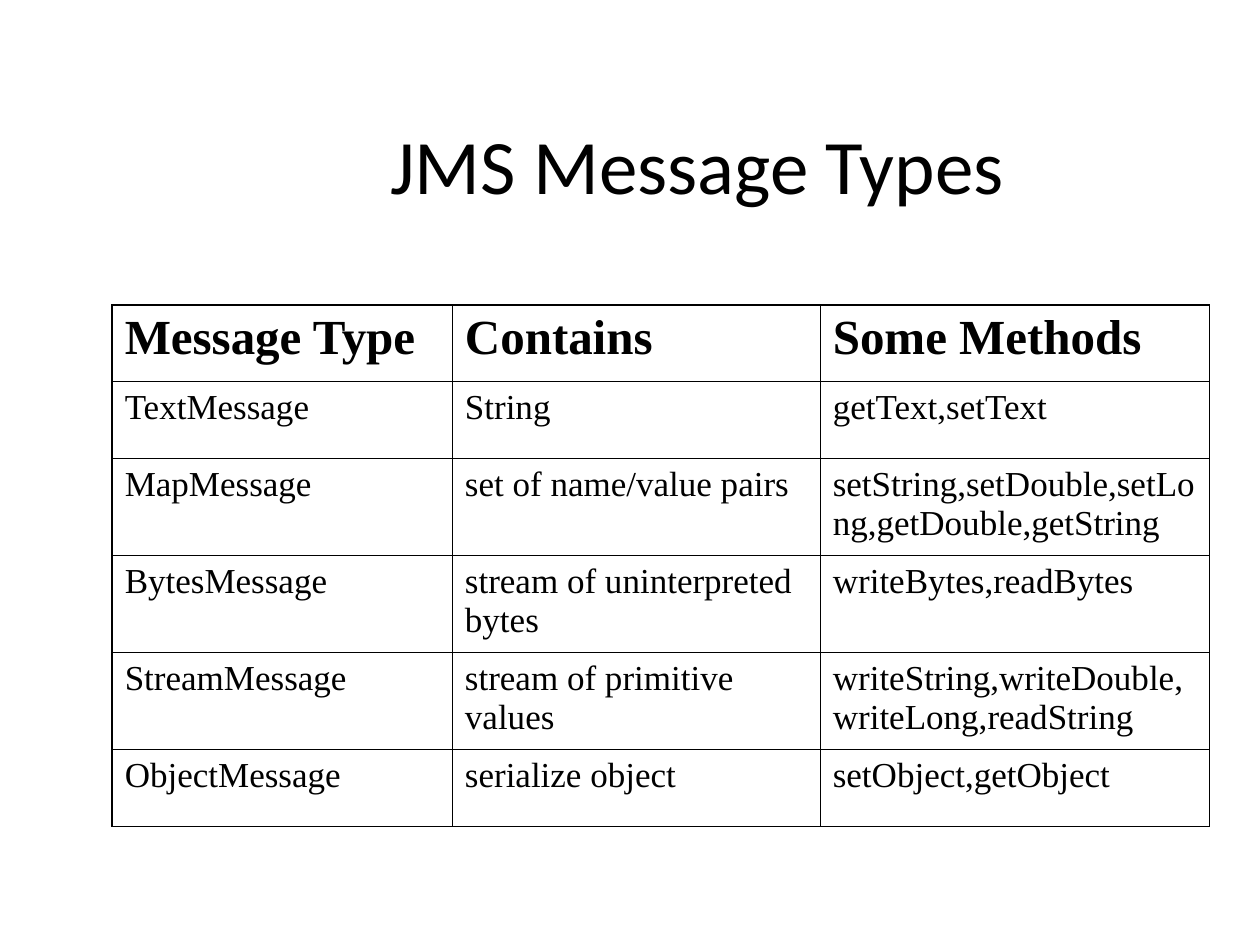
from lxml import etree
from pptx import Presentation
from pptx import util as u
from pptx.dml.color import RGBColor
from pptx.enum import text
from pptx.oxml import ns

COLORS = {"ink": "000000", "page": "FFFFFF"}
TITLE = {"name": "Calibri", "size": u.Pt(44), "bold": False}
HEAD = {"name": "Times New Roman", "size": u.Pt(28), "bold": True}
BODY = {"name": "Times New Roman", "size": u.Pt(20), "bold": False}
THIN, THICK = 0.45, 1.08
WIDTHS = (2.7, 2.92, 3.09)
HEIGHTS = (0.61, 0.61, 0.77, 0.77, 0.77, 0.61)
ROWS = (
    ("Message Type", "Contains", "Some Methods"),
    ("TextMessage", "String", "getText,setText"),
    ("MapMessage", "set of name/value pairs",
     "setString,setDouble,setLong,getDouble,getString"),
    ("BytesMessage", "stream of uninterpreted bytes", "writeBytes,readBytes"),
    ("StreamMessage", "stream of primitive values",
     "writeString,writeDouble,writeLong,readString"),
    ("ObjectMessage", "serialize object", "setObject,getObject"),
)


def write(frame, words, style):
    """Put one styled paragraph in a text frame."""
    para = frame.paragraphs[0]
    run = para.add_run()
    run.text = words
    for key, value in style.items():
        setattr(run.font, key, value)
    run.font.color.rgb = RGBColor.from_string(COLORS["ink"])
    return para


def border(cell, side, width):
    props = cell._tc.get_or_add_tcPr()
    line = etree.SubElement(props, ns.qn("a:ln" + side), w=str(int(u.Pt(width))))
    fill = etree.SubElement(line, ns.qn("a:solidFill"))
    etree.SubElement(fill, ns.qn("a:srgbClr"), val=COLORS["ink"])


def title(slide, words):
    box = slide.shapes.add_textbox(
        u.Inches(1.5), u.Inches(0.67), u.Inches(8.07), u.Inches(1.25))
    frame = box.text_frame
    frame.word_wrap = True
    frame.vertical_anchor = text.MSO_ANCHOR.MIDDLE
    write(frame, words, TITLE).alignment = text.PP_ALIGN.CENTER


def grid(slide, rows):
    last, end = len(rows) - 1, len(WIDTHS) - 1
    table = slide.shapes.add_table(
        len(rows), len(WIDTHS), u.Inches(0.89), u.Inches(2.42),
        u.Inches(sum(WIDTHS)), u.Inches(sum(HEIGHTS))).table
    table.first_row = table.horz_banding = False
    for col, width in zip(table.columns, WIDTHS):
        col.width = u.Inches(width)
    for row, height in zip(table.rows, HEIGHTS):
        row.height = u.Inches(height)

    # Cells: bold first row, thicker rule around the outside
    for i, row in enumerate(rows):
        for j, words in enumerate(row):
            cell = table.cell(i, j)
            para = write(cell.text_frame, words, BODY if i else HEAD)
            para.space_before = u.Pt(5 if i else 7)
            edges = {"L": j == 0, "R": j == end, "T": i == 0, "B": i == last}
            for side, outer in edges.items():
                border(cell, side, THICK if outer else THIN)
            cell.fill.background()


def main():
    deck = Presentation()
    deck.slide_width, deck.slide_height = u.Inches(10), u.Inches(7.5)
    slide = deck.slides.add_slide(deck.slide_layouts[6])
    back = slide.background.fill
    back.solid()
    back.fore_color.rgb = RGBColor.from_string(COLORS["page"])

    # Heading and table
    title(slide, "JMS Message Types")
    grid(slide, ROWS)
    deck.save("out.pptx")


main()
